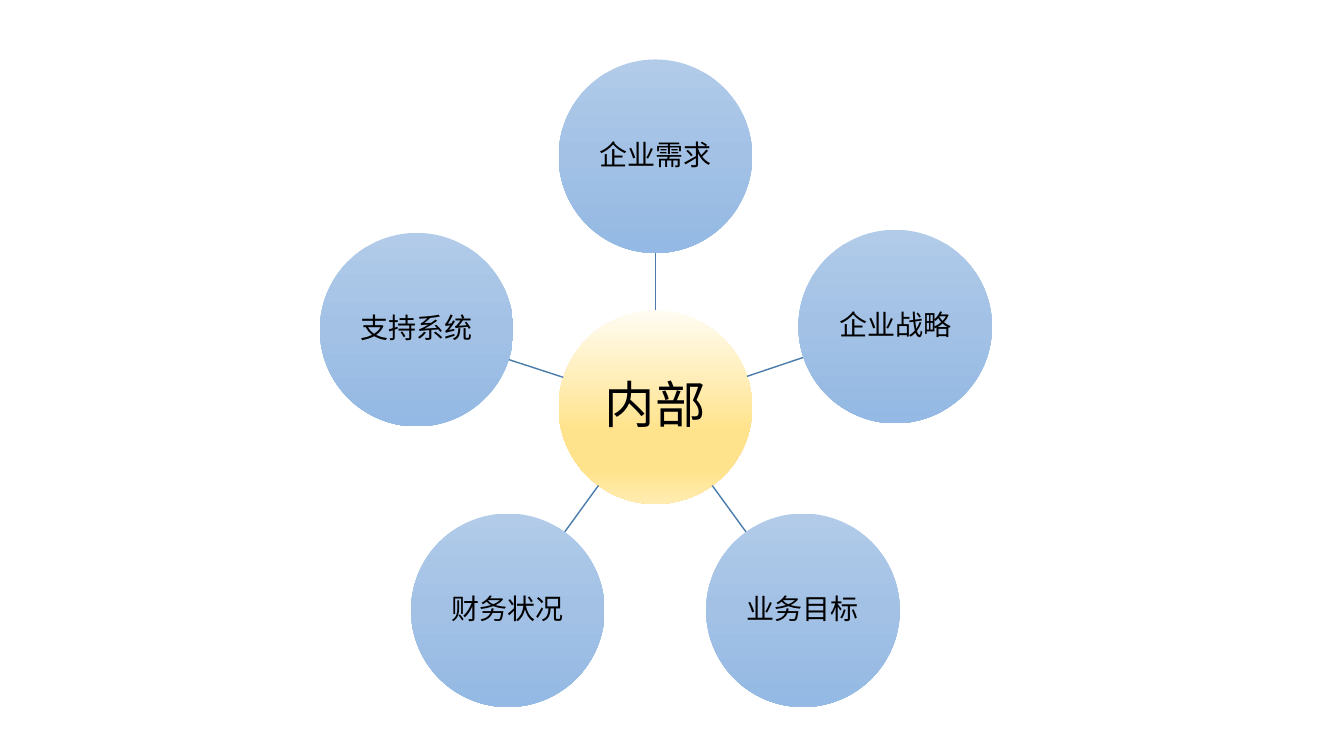
from dataclasses import dataclass
from math import cos, radians, sin

from lxml.etree import SubElement
from pptx import Presentation
from pptx.dml.color import RGBColor
from pptx.enum.shapes import MSO_CONNECTOR as Connector, MSO_SHAPE as Preset
from pptx.enum.text import MSO_ANCHOR as Anchor, PP_ALIGN as Align
from pptx.oxml.ns import qn
from pptx.slide import Slide
from pptx.util import Inches, Pt

BLACK = RGBColor(0x00, 0x00, 0x00)
LINK_BLUE = RGBColor(0x49, 0x7C, 0xAB)
HUB_FILL = (
    (0, RGBColor(0xFF, 0xFC, 0xF2)),
    (62, RGBColor(0xFF, 0xE3, 0x8C)),
    (83, RGBColor(0xFF, 0xE3, 0x8C)),
    (100, RGBColor(0xFF, 0xEC, 0xB2)),
)
FACTOR_FILL = (
    (0, RGBColor(0xB1, 0xCB, 0xE9)),
    (50, RGBColor(0xA3, 0xC1, 0xE5)),
    (100, RGBColor(0x93, 0xB9, 0xE4)),
)

FONT = "Noto Sans CJK SC"
CELL = Inches(1)
COLUMNS, ROWS = 13.33, 7.5
HUB_COLUMN, HUB_ROW = 6.5, 4.04
RADIUS = 0.96
ORBIT = 2.49


@dataclass(frozen=True)
class Circle:
    label: str
    column: float
    row: float
    stops: tuple[tuple[int, RGBColor], ...]
    size: int
    inset: float


@dataclass(frozen=True)
class Factor:
    label: str
    angle: float
    orbit: float = ORBIT


FACTORS = (
    Factor("企业需求", -90),
    Factor("企业战略", -18.6, 2.51),
    Factor("业务目标", 54),
    Factor("财务状况", 126),
    Factor("支持系统", 198),
)


def cells(count: float) -> int:
    return round(count * CELL)


def around_hub(angle: float, distance: float) -> tuple[float, float]:
    turn = radians(angle)
    return HUB_COLUMN + distance * cos(turn), HUB_ROW + distance * sin(turn)


def apply(target: object, formats: dict[str, object]) -> None:
    for name, value in formats.items():
        setattr(target, name, value)


def fill_downward(shape, stops: tuple[tuple[int, RGBColor], ...]) -> None:
    shape.fill.gradient()
    shape.fill.gradient_angle = 270
    stop_list = shape.element.spPr.find(".//" + qn("a:gsLst"))
    for old_stop in list(stop_list):
        stop_list.remove(old_stop)
    for percent, color in stops:
        stop = SubElement(stop_list, qn("a:gs"), pos=str(percent * 1000))
        SubElement(stop, qn("a:srgbClr"), val=str(color))


def draw_circle(page: Slide, circle: Circle) -> None:
    shape = page.shapes.add_shape(
        Preset.OVAL,
        cells(circle.column - RADIUS),
        cells(circle.row - RADIUS),
        cells(2 * RADIUS),
        cells(2 * RADIUS),
    )
    shape.shadow.inherit = False
    shape.line.fill.background()
    fill_downward(shape, circle.stops)
    frame = shape.text_frame
    sides = ("margin_left", "margin_top", "margin_right", "margin_bottom")
    margins = dict.fromkeys(sides, cells(circle.inset))
    apply(frame, {"word_wrap": True, "vertical_anchor": Anchor.MIDDLE, **margins})
    para = frame.paragraphs[0]
    apply(para, {"alignment": Align.CENTER, "line_spacing": 0.9})
    span = para.add_run()
    span.text = circle.label
    apply(span.font, {"name": FONT, "size": Pt(circle.size)})
    span.font.color.rgb = BLACK
    SubElement(span.font._element, qn("a:ea"), typeface=FONT)


def draw_link(page: Slide, factor: Factor) -> None:
    start = around_hub(factor.angle, RADIUS)
    end = around_hub(factor.angle, factor.orbit - RADIUS)
    link = page.shapes.add_connector(
        Connector.STRAIGHT, *(cells(place) for place in start + end)
    )
    link.line.color.rgb = LINK_BLUE
    link.line.width = Pt(1)
    SubElement(link.element.spPr, qn("a:effectLst"))


def main() -> None:
    deck = Presentation()
    apply(deck, {"slide_width": cells(COLUMNS), "slide_height": cells(ROWS)})
    page = deck.slides.add_slide(deck.slide_layouts.get_by_name("Blank"))
    draw_circle(page, Circle("内部", HUB_COLUMN, HUB_ROW, HUB_FILL, 36, 0.03))
    for factor in FACTORS:
        draw_link(page, factor)
        column, row = around_hub(factor.angle, factor.orbit)
        draw_circle(page, Circle(factor.label, column, row, FACTOR_FILL, 20, 0.01))
    deck.save("out.pptx")


if __name__ == "__main__":
    main()
